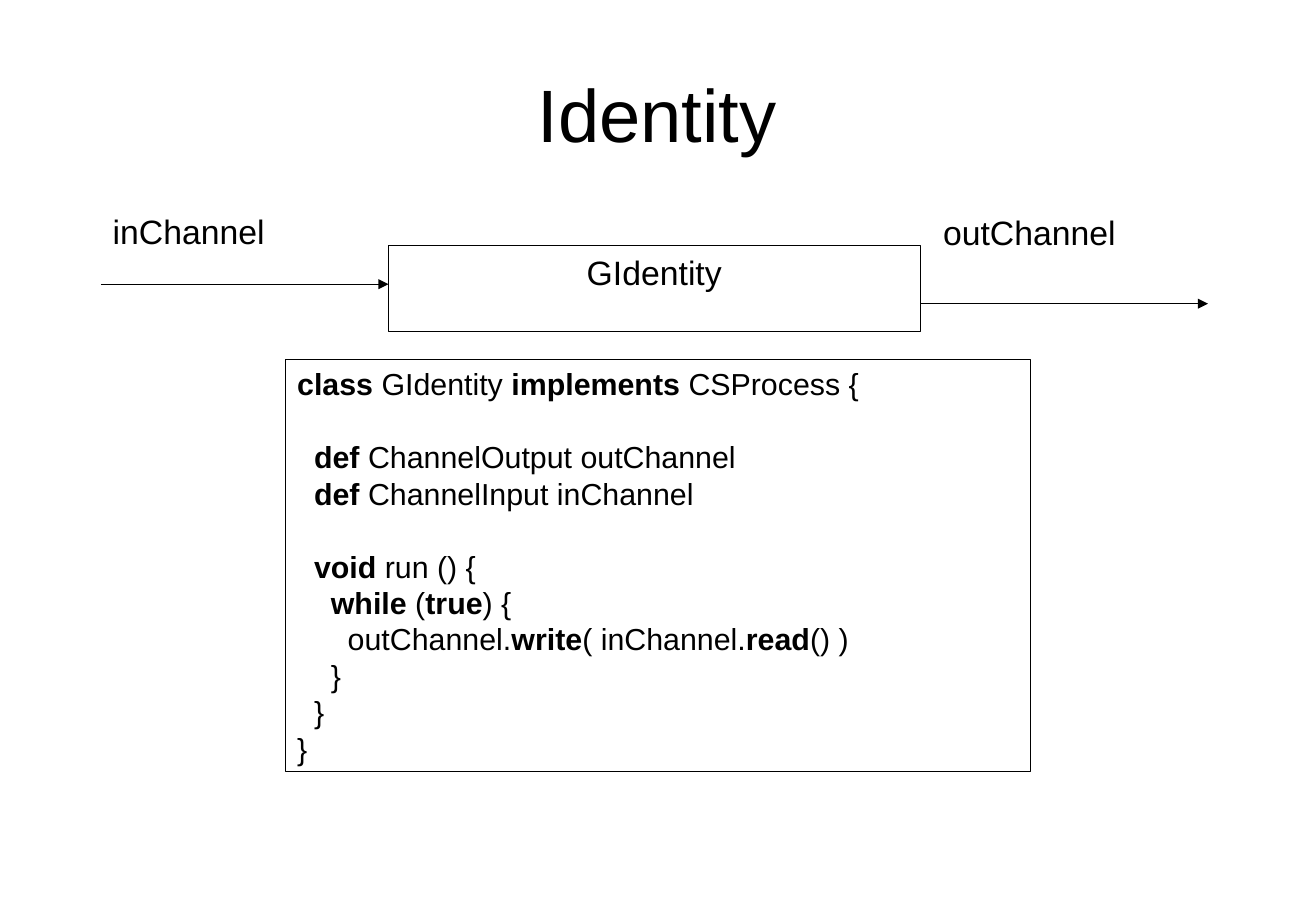
from pptx import Presentation
from pptx.dml.color import RGBColor
from pptx.enum.shapes import MSO_CONNECTOR as CONNECTOR, MSO_SHAPE as SHAPE
from pptx.enum.text import MSO_ANCHOR as ANCHOR, PP_ALIGN as ALIGN
from pptx.oxml.ns import qn
from pptx.util import Inches, Pt
from dataclasses import dataclass
from lxml.etree import SubElement

TITLE = "Identity"
PROCESS = "GIdentity"
CODE = """\
*class* GIdentity *implements* CSProcess {

  *def* ChannelOutput outChannel
  *def* ChannelInput inChannel

  *void* run () {
    *while* (*true*) {
      outChannel.*write*( inChannel.*read*() )
    }
  }
}"""

TITLE_BOX = (0.54, 0.3, 9.75, 1.25)
CODE_BOX = (2.35, 2.96, 6.14, 3.39)
PROCESS_BOX = (3.2, 2.02, 4.38, 0.71)
ARROW_LENGTH = 2.37
process_left = PROCESS_BOX[0]
process_right = process_left + PROCESS_BOX[2]
CHANNELS = [
    ("inChannel", (0.83, 1.69, 2.1, 0.57), process_left - ARROW_LENGTH, 2.34),
    ("outChannel", (7.67, 1.69, 2.28, 0.65), process_right, 2.5),
]


@dataclass(frozen=True)
class Theme:
    font: str = "Arial"
    ink: RGBColor = RGBColor(0, 0, 0)
    paper: RGBColor = RGBColor(255, 255, 255)
    title: Pt = Pt(44)
    label: Pt = Pt(20)
    code: Pt = Pt(18)
    code_line: Pt = Pt(21.6)
    outline: Pt = Pt(0.75)


theme = Theme()


def style(paragraph, size, align=ALIGN.LEFT):
    paragraph.alignment = align
    font = paragraph.font
    font.name, font.size = theme.font, size
    font.color.rgb = theme.ink


def add_box(slide, box, filled=True, outlined=True):
    panel = slide.shapes.add_shape(SHAPE.RECTANGLE, *map(Inches, box))
    panel.shadow.inherit = False
    if filled:
        panel.fill.solid()
        panel.fill.fore_color.rgb = theme.paper
    else:
        panel.fill.background()
    if outlined:
        panel.line.color.rgb = theme.ink
        panel.line.width = theme.outline
    else:
        panel.line.fill.background()
    panel.text_frame.vertical_anchor = ANCHOR.TOP
    return panel.text_frame


def add_label(slide, text, box, align=ALIGN.LEFT, outlined=False):
    label = add_box(slide, box, outlined=outlined)
    label.text = text
    style(label.paragraphs[0], theme.label, align)


def add_arrow(slide, start, y):
    ends = map(Inches, (start, y, start + ARROW_LENGTH, y))
    arrow = slide.shapes.add_connector(CONNECTOR.STRAIGHT, *ends)
    arrow.line.color.rgb = theme.ink
    arrow.line.width = theme.outline
    SubElement(arrow.line._get_or_add_ln(), qn("a:tailEnd"), type="triangle")
    SubElement(arrow._element.spPr, qn("a:effectLst"))


def add_code(slide):
    listing = add_box(slide, CODE_BOX, filled=False)
    paragraph = listing.paragraphs[0]
    gap = Pt(0)
    for number, line in enumerate(CODE.splitlines()):
        if not line:
            gap = theme.code_line
            continue
        if number:
            paragraph = listing.add_paragraph()
        paragraph.space_before, gap = gap, Pt(0)
        paragraph.line_spacing = theme.code_line
        style(paragraph, theme.code)
        for position, part in enumerate(line.split("*")):
            if part:
                run = paragraph.add_run()
                run.text = part
                run.font.bold = position % 2 == 1


def main():
    deck = Presentation()
    deck.slide_width, deck.slide_height = Inches(10.84), Inches(7.5)
    slide = deck.slides.add_slide(deck.slide_layouts[5])

    title = slide.shapes.title
    title.left, title.top, title.width, title.height = map(Inches, TITLE_BOX)
    title.text_frame.text = TITLE
    title.text_frame.vertical_anchor = ANCHOR.MIDDLE
    style(title.text_frame.paragraphs[0], theme.title, ALIGN.CENTER)

    add_code(slide)
    add_label(slide, PROCESS, PROCESS_BOX, ALIGN.CENTER, outlined=True)
    for name, box, start, y in CHANNELS:
        add_arrow(slide, start, y)
        add_label(slide, name, box)
    deck.save("out.pptx")


if __name__ == "__main__":
    main()
